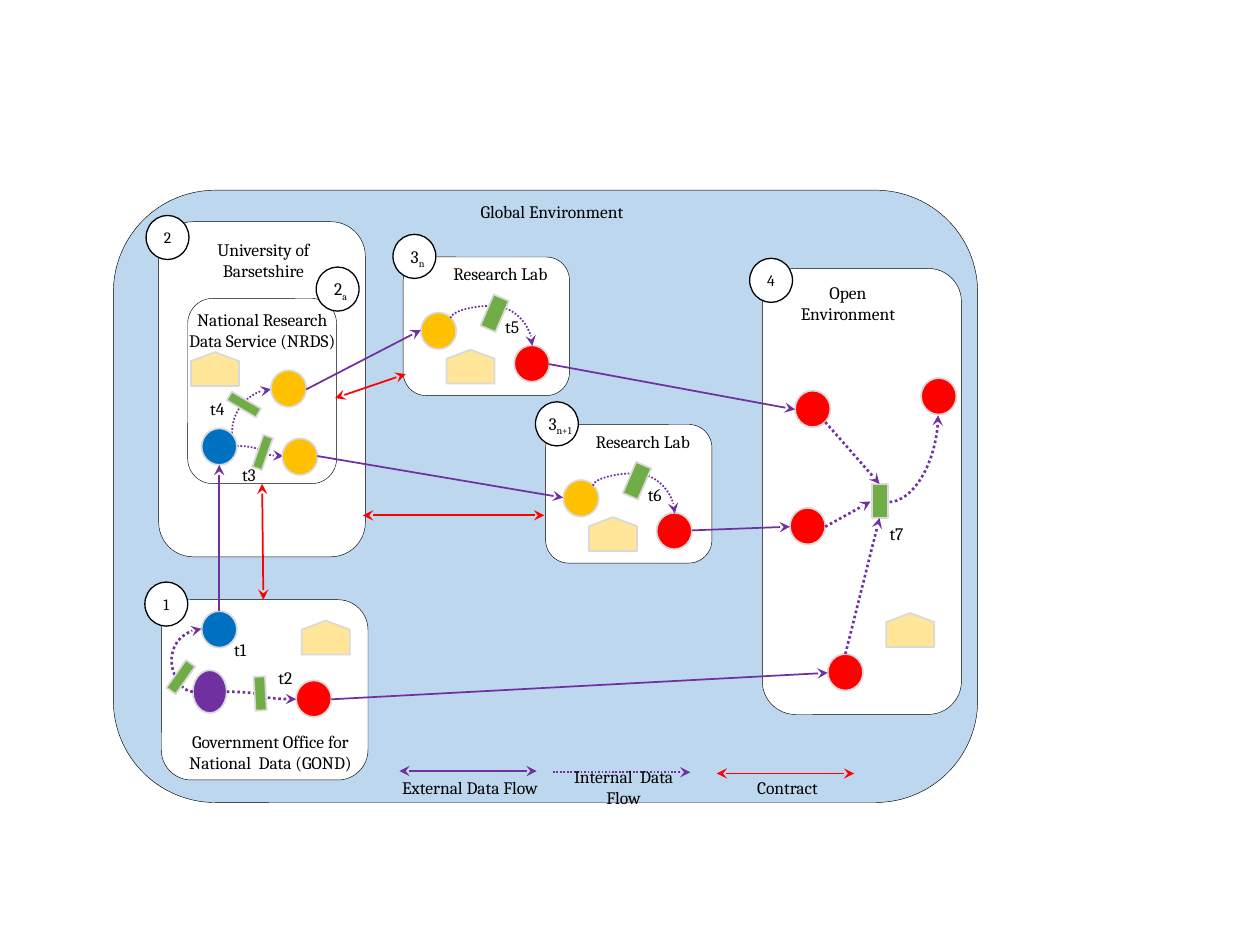
from lxml.etree import SubElement
from pptx import Presentation
from pptx.dml.color import RGBColor
from pptx.enum.dml import MSO_LINE
from pptx.enum.shapes import MSO_CONNECTOR as Connector, MSO_SHAPE as Shape
from pptx.enum.text import MSO_ANCHOR as Anchor, PP_ALIGN as Align
from pptx.oxml.ns import qn
from pptx.util import Pt

COLORS = {
    "black": "000000", "white": "FFFFFF", "sky": "BDD7EE", "gray": "D9D9D9",
    "blue": "0070C0", "yellow": "FFC000", "purple": "7030A0", "red": "FF0000",
    "green": "70AD47", "cream": "FFE699",
}
FONT = "Cambria"
TITLE_WIDTH = 106.6


def color(name):
    return RGBColor.from_string(COLORS[name])


def add_figure(slide, kind, box, fill, line="gray", weight=1, rotation=0):
    shape = slide.shapes.add_shape(kind, *map(Pt, box))
    shape.shadow.inherit = False
    shape.fill.solid()
    shape.fill.fore_color.rgb = color(fill)
    shape.line.color.rgb = color(line)
    shape.line.width = Pt(weight)
    shape.rotation = rotation
    return shape


def add_panel(slide, box, fill="white"):
    add_figure(slide, Shape.ROUNDED_RECTANGLE, box, fill, "black", 0.25)


def add_circle(slide, left, top, fill, width=20.2, height=20.9):
    add_figure(slide, Shape.OVAL, (left, top, width, height), fill)


def add_bar(slide, left, top, height, rotation):
    add_figure(slide, Shape.RECTANGLE, (left, top, 19.4, height), "green", rotation=rotation)


def add_house(slide, center_x, center_y):
    box = (center_x - 9.7, center_y - 13.7, 19.4, 27.4)
    house = add_figure(slide, Shape.PENTAGON, box, "cream", rotation=270)
    house.adjustments[0] = 0.266


def add_run(paragraph, text, size):
    run = paragraph.add_run()
    run.text = text
    run.font.name = FONT
    run.font.size = Pt(size)
    run.font.color.rgb = color("black")
    return run


def add_text(slide, box, *lines, anchor=Anchor.TOP):
    frame = slide.shapes.add_textbox(*map(Pt, box)).text_frame
    frame.word_wrap = True
    frame.vertical_anchor = anchor
    for index, line in enumerate(lines):
        paragraph = frame.add_paragraph() if index else frame.paragraphs[0]
        paragraph.alignment = Align.CENTER
        add_run(paragraph, line, 10)
    return frame


def add_label(slide, left, top, text, width=46.8):
    add_text(slide, (left, top, width, 19.4), text, anchor=Anchor.MIDDLE)


def add_badge(slide, left, top, number, subscript=""):
    badge = add_figure(slide, Shape.OVAL, (left, top, 24.5, 25.2), "white", "black", 0.75)
    if subscript:
        frame = add_text(slide, (left - 2, top + 2.9, 32, 19.4), number)
        run = add_run(frame.paragraphs[0], subscript, 10)
        run.font._element.set("baseline", "-25000")
        return
    frame = badge.text_frame
    frame.margin_left = frame.margin_right = frame.margin_top = frame.margin_bottom = 0
    frame.vertical_anchor = Anchor.MIDDLE
    frame.paragraphs[0].alignment = Align.CENTER
    add_run(frame.paragraphs[0], number, 9)


def add_flow(slide, start, end, stroke="purple", weight=1, dotted=False,
             ends=("tailEnd",), kind=Connector.STRAIGHT):
    connector = slide.shapes.add_connector(kind, *map(Pt, start + end))
    connector.line.color.rgb = color(stroke)
    connector.line.width = Pt(weight)
    if dotted:
        connector.line.dash_style = MSO_LINE.ROUND_DOT
    properties = connector.element.spPr
    for name in ends:
        SubElement(properties.find(qn("a:ln")), qn(f"a:{name}")).set("type", "stealth")
    SubElement(properties, qn("a:effectLst"))
    return connector


def add_curve(slide, box, preset, rotation=0, flips="", bend=None, weight=1, end="tailEnd"):
    left, top, width, height = box
    x_ends, y_ends = (left, left + width), (top, top + height)
    if "h" in flips:
        x_ends = x_ends[::-1]
    if "v" in flips:
        y_ends = y_ends[::-1]
    curve = add_flow(slide, (x_ends[0], y_ends[0]), (x_ends[1], y_ends[1]),
                     weight=weight, dotted=True, ends=(end,), kind=Connector.CURVE)
    properties = curve.element.spPr
    properties.find(qn("a:xfrm")).set("rot", str(rotation * 60000))
    geometry = properties.find(qn("a:prstGeom"))
    geometry.set("prst", preset)
    if bend is not None:
        guide = SubElement(geometry.find(qn("a:avLst")), qn("a:gd"))
        guide.set("name", "adj1")
        guide.set("fmla", f"val {round(bend * 100000)}")


def add_data_service(slide, box):
    left, top = box[:2]
    add_panel(slide, box)
    add_text(slide, (left - 10.8, top + 2.2, TITLE_WIDTH, 31.7),
             "National Research Data Service (NRDS)")
    add_curve(slide, (left + 23.8, top + 53.3, 25.2, 22.3), "curvedConnector2", 90, "hv")
    add_curve(slide, (left + 28.1, top + 84.2, 26.6, 5.8), "curvedConnector3", bend=0.5)
    for x, y, fill in ((7.9, 74.2, "blue"), (47.5, 41, "yellow"), (54, 79.9, "yellow")):
        add_circle(slide, left + x, top + y, fill)
    add_house(slide, left + 15.5, top + 40.3)
    add_bar(slide, left + 22.3, top + 57.6, 5.8, 210.5)
    add_bar(slide, left + 33.1, top + 85, 5.8, 289.2)
    add_label(slide, left - 6.5, top + 53.3, "t4")
    add_label(slide, left + 11.5, top + 90.7, "t3")
    add_badge(slide, left + 73.4, top - 18, "2", "a")


def add_university(slide, box):
    left, top = box[:2]
    add_panel(slide, box)
    add_text(slide, (left + 6.5, top + 6.5, TITLE_WIDTH, 31.7), "University of Barsetshire")
    add_data_service(slide, (left + 16.6, top + 43.9, 85, 105.8))
    add_badge(slide, left - 7.2, top - 3.6, "2")


def add_research_lab(slide, box, subscript, transfer):
    left, top = box[:2]
    add_panel(slide, box)
    add_text(slide, (left + 2.2, top, TITLE_WIDTH, 19.4), "Research Lab")
    add_circle(slide, left + 10.1, top + 31.7, "yellow")
    add_circle(slide, left + 63.4, top + 50.4, "red")
    add_curve(slide, (left + 42.5, top + 19.4, 15.8, 46.8), "curvedConnector3", 270, "h", -0.447)
    add_house(slide, left + 38.5, top + 62.6)
    add_bar(slide, left + 42.5, top + 27.4, 9.4, 113.2)
    add_label(slide, left + 38.9, top + 30.2, transfer)
    add_badge(slide, left - 5.8, top - 13, "3", subscript)


def add_government_office(slide, box):
    left, top = box[:2]
    add_panel(slide, box)
    add_text(slide, (left - 3.6, top + 71.3, 131.8, 31.7),
             "Government Office for National  Data (GOND)")
    add_circle(slide, left + 23, top + 6.5, "blue")
    add_circle(slide, left + 18, top + 40.3, "purple", 19.4, 24.5)
    add_circle(slide, left + 77, top + 46.1, "red")
    add_curve(slide, (left + 37.4, top + 52.6, 39.6, 4.3), "curvedConnector3",
              bend=0.5, weight=1.5)
    add_curve(slide, (left + 18, top + 16.6, 5, 36), "curvedConnector3", 180, "h", -2.435, 1.5)
    add_bar(slide, left + 46.8, top + 50.4, 6.5, 86.9)
    add_bar(slide, left + 1.4, top + 41, 6.5, 125.2)
    add_label(slide, left + 21.6, top + 18.7, "t1")
    add_label(slide, left + 47.5, top + 34.6, "t2")
    add_house(slide, left + 94, top + 21.6)
    add_badge(slide, left - 9.4, top - 10.1, "1")


def add_open_environment(slide, box):
    left, top = box[:2]
    add_panel(slide, box)
    add_text(slide, (left - 10.1, top + 4.3, 118.1, 31.7), "Open", "Environment")
    for x, y in ((18.7, 69.8), (15.8, 136.8), (37.4, 220.3), (90.7, 62.6)):
        add_circle(slide, left + x, top + y, "red")
    add_bar(slide, left + 57.6, top + 128.2, 9.4, 90)
    for x1, y1, x2, y2 in ((36, 87.8, 67, 123.1), (36, 147.6, 61.9, 133.2),
                           (47.5, 220.3, 67, 142.6)):
        add_flow(slide, (left + x1, top + y1), (left + x2, top + y2), weight=1.5, dotted=True)
    add_curve(slide, (left + 61.2, top + 94.3, 49.7, 28.8), "curvedConnector2", 90,
              weight=1.5, end="headEnd")
    add_label(slide, left + 53.3, top + 141.8, "t7")
    add_house(slide, left + 84.6, top + 206.6)
    add_badge(slide, left - 7.2, top - 5.8, "4")


def add_legend(slide, box):
    left, top = box[:2]
    both = ("headEnd", "tailEnd")
    entries = (
        (0, 0, "External Data Flow", "purple", False, both),
        (87.8, 0.7, "Internal  Data Flow", "purple", True, ("tailEnd",)),
        (181.4, 1.4, "Contract", "red", False, both),
    )
    for x, y, text, stroke, dotted, ends in entries:
        add_flow(slide, (left + x, top + y), (left + x + 78.5, top + y),
                 stroke, dotted=dotted, ends=ends)
        add_label(slide, left + x - 5.8, top - 0.5, text, 92.2)


def add_links(slide):
    for start, end in (((189.4, 399.6), (473, 384.5)), ((125.3, 349.2), (125.3, 265.7)),
                       ((313.9, 208.1), (454.3, 234)), ((175, 222.5), (240.5, 188.6)),
                       ((395.3, 303.1), (451.4, 301)), ((181.4, 260.6), (321.8, 284.4))):
        add_flow(slide, start, end)
    for start, end in (((311, 294.5), (207.4, 294.5)), ((150.5, 342.7), (149.8, 276.5)),
                       ((231.8, 213.8), (191.5, 227.5))):
        add_flow(slide, start, end, "red", ends=("headEnd", "tailEnd"))


def add_global_environment(slide, box):
    left, top = box[:2]
    add_panel(slide, box, "sky")
    add_text(slide, (left + 197.3, top + 2.9, TITLE_WIDTH, 19.4), "Global Environment")


def main():
    presentation = Presentation()
    presentation.slide_width, presentation.slide_height = Pt(720), Pt(540)
    slide = presentation.slides.add_slide(presentation.slide_layouts[6])
    add_global_environment(slide, (64.8, 108.7, 493.9, 349.9))
    add_university(slide, (90.7, 126.7, 118.1, 191.5))
    add_open_environment(slide, (435.6, 153.4, 113.8, 254.9))
    add_government_office(slide, (92.2, 342.7, 118.1, 103))
    add_research_lab(slide, (230.4, 146.9, 95, 79.2), "n", "t5")
    add_research_lab(slide, (311.8, 242.6, 95, 79.2), "n+1", "t6")
    add_links(slide)
    add_legend(slide, (228.2, 440.6, 260, 20))
    presentation.save("out.pptx")


if __name__ == "__main__":
    main()
